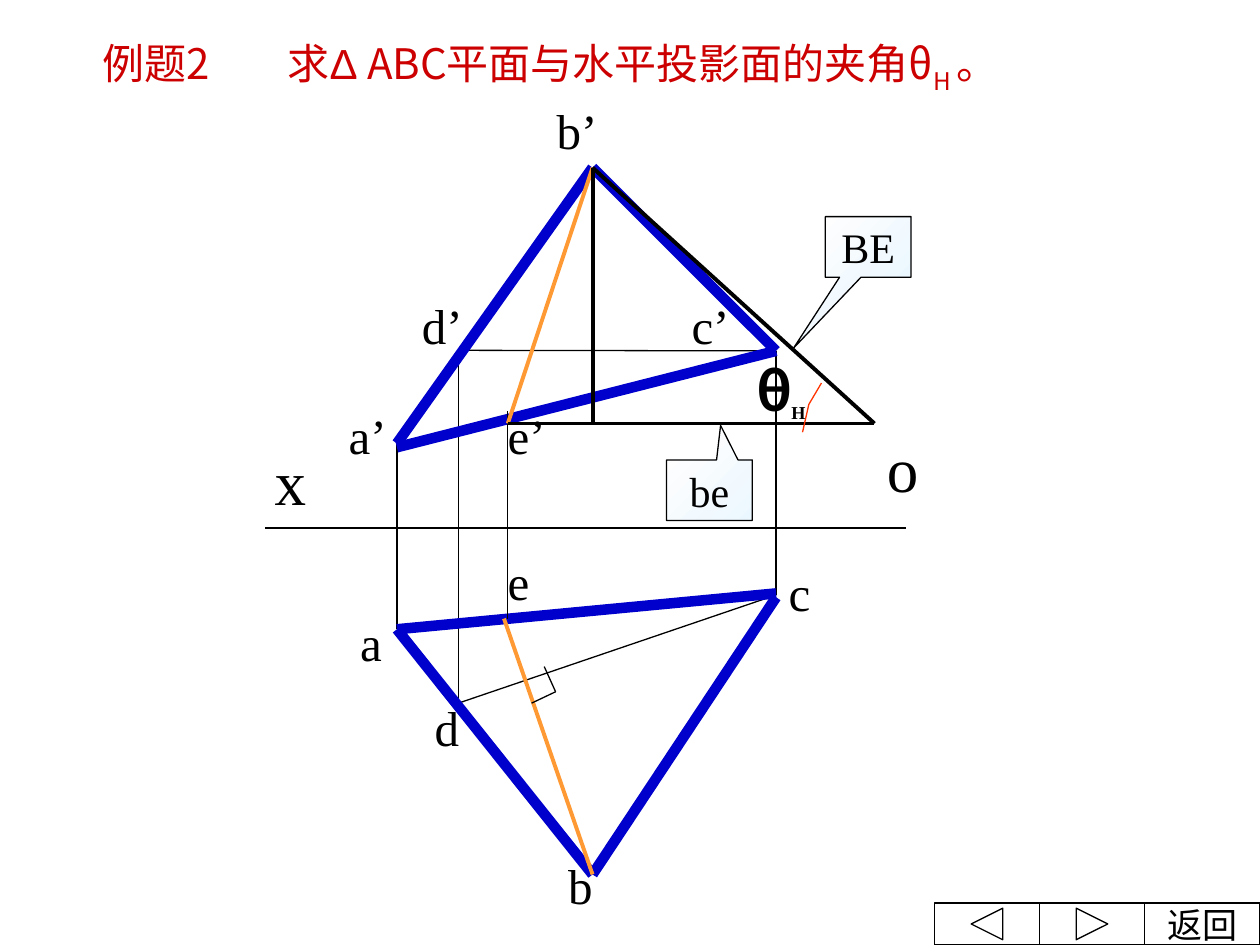
from lxml import etree
from pptx import Presentation
from pptx.dml.color import RGBColor
from pptx.enum.shapes import MSO_CONNECTOR, MSO_SHAPE as Shape
from pptx.enum.text import MSO_ANCHOR as Anchor, PP_ALIGN as Align
from pptx.oxml.ns import qn
from pptx.util import Pt

BLACK = RGBColor(0x00, 0x00, 0x00)
BLUE = RGBColor(0x00, 0x00, 0xCC)
ORANGE = RGBColor(0xFF, 0x99, 0x33)
RED = RGBColor(0xCC, 0x00, 0x00)
ARC_RED = RGBColor(0xFF, 0x33, 0x00)
PALE_BLUE = RGBColor(0xEB, 0xF7, 0xFF)
NEAR_WHITE = RGBColor(0xFE, 0xFE, 0xFE)

SERIF = "Times New Roman"
HAN = "Noto Sans CJK JP"
THIN, MEDIUM, THICK = 0.75, 2.25, 6


class Drawing:
    def __init__(self, slide):
        self.shapes = slide.shapes

    def style(self, font, size, color=BLACK, name=SERIF):
        font.size, font.name = Pt(size), name
        font.color.rgb = color

    def outline(self, shape, color=BLACK):
        shape.shadow.inherit = False
        shape.line.color.rgb, shape.line.width = color, Pt(THIN)

    def line(self, start, end, width=THIN, color=BLACK):
        segment = self.shapes.add_connector(
            MSO_CONNECTOR.STRAIGHT, *map(Pt, (*start, *end)))
        segment.line.color.rgb, segment.line.width = color, Pt(width)
        etree.SubElement(segment._element.spPr, qn("a:effectLst"))

    def text(self, left, top, width, height, words="", size=28):
        frame = self.shapes.add_textbox(*map(Pt, (left, top, width, height))).text_frame
        frame.word_wrap = True
        paragraph = frame.paragraphs[0]
        paragraph.text = words
        self.style(paragraph.font, size)
        return paragraph

    def run(self, paragraph, words, size, color=BLACK, name=SERIF, subscript=False):
        run = paragraph.add_run()
        run.text = words
        self.style(run.font, size, color, name)
        if name == HAN:
            etree.SubElement(run.font._element, qn("a:ea"), typeface=HAN)
        if subscript:
            run.font._element.set("baseline", "-25000")

    def caption(self, shape, words, size):
        frame = shape.text_frame
        frame.word_wrap, frame.vertical_anchor = False, Anchor.MIDDLE
        paragraph = frame.paragraphs[0]
        paragraph.text, paragraph.alignment = words, Align.CENTER
        self.style(paragraph.font, size)

    def callout(self, left, top, words, pointer):
        box = self.shapes.add_shape(
            Shape.RECTANGULAR_CALLOUT, *map(Pt, (left, top, 49, 34.6)))
        self.outline(box)
        box.adjustments[0], box.adjustments[1] = pointer
        box.fill.gradient()
        box.fill.gradient_angle = 135
        for stop, color in zip(box.fill.gradient_stops, (PALE_BLUE, NEAR_WHITE)):
            stop.color.rgb = color
        self.caption(box, words, 24)

    def arc(self, start, *others):
        builder = self.shapes.build_freeform(*map(Pt, start))
        builder.add_line_segments([tuple(map(Pt, point)) for point in others], close=False)
        curve = builder.convert_to_shape()
        curve.fill.background()
        self.outline(curve, ARC_RED)

    def button(self, kind, left, width):
        key = self.shapes.add_shape(kind, *map(Pt, (left, 516, width, 24)))
        key.fill.background()
        self.outline(key)
        return key


def main():
    deck = Presentation()
    deck.slide_width, deck.slide_height = Pt(720), Pt(540)
    drawing = Drawing(deck.slides.add_slide(deck.slide_layouts[6]))

    # Title
    title = drawing.text(51.8, 18, 556, 38)
    properties = title._p.get_or_add_pPr()
    tabs = etree.Element(qn("a:tabLst"))
    properties.insert(0, tabs)
    etree.SubElement(tabs, qn("a:tab"), pos=str(Pt(105.5)), algn="l")
    for words, name, subscript in (
            ("例题2\t求", HAN, False), ("Δ ", "Arial", False),
            ("ABC平面与水平投影面的夹角θ", HAN, False),
            ("H ", HAN, True), ("。", HAN, False)):
        drawing.run(title, words, 24, RED, name, subscript)

    # Vertices: front view above the axis, top view below it
    a_front, b_front, c_front = (226.8, 253.4), (338.6, 95.8), (443.5, 200.5)
    d_front, e_front = (262, 200.2), (290.2, 242)
    a_top, b_top, c_top = (226.8, 359.6), (338.6, 499.7), (443.5, 340)
    d_top, e_top = (262, 401.8), (288, 353.5)
    far_corner, height_foot = (499.7, 242), (338.6, 242)

    # Axis, projection lines and auxiliary line CD
    drawing.line((517.7, 301.7), (151.2, 301.7))
    for start, end in ((d_top, c_top), (c_front, d_front), (d_front, d_top),
                       (a_front, a_top), (c_front, c_top)):
        drawing.line(start, end)

    # Triangle ABC in both views
    for start, end in ((a_front, b_front), (b_front, c_front), ((226.8, 255.6), c_front),
                       (b_top, (443.5, 341.3)), (a_top, b_top), (a_top, (443.5, 339.1))):
        drawing.line(start, end, THICK, BLUE)
    drawing.line((290.2, 353.5), (290.2, 234.7))

    # Steepest line BE and its right-angle mark
    drawing.line(e_front, b_front, MEDIUM, ORANGE)
    drawing.line(b_top, e_top, MEDIUM, ORANGE)
    drawing.line((311, 380.9), (317.5, 395.3))
    drawing.line((317.5, 395.3), (303.8, 401.8))

    # True-length triangle
    for start, end in ((e_front, far_corner), (b_front, height_foot), (far_corner, b_front)):
        drawing.line(start, end, MEDIUM)

    # Point labels
    for words, left, top in (
            ("a’", 192.2, 228.2), ("b’", 311, 54), ("c’", 388.1, 165.6),
            ("d’", 234, 165.6), ("e’", 283, 228.2),
            ("a", 198.7, 346.3), ("b", 317.5, 485.3), ("c", 443.5, 318.2),
            ("d", 241.2, 395.3), ("e", 283, 311.8)):
        drawing.text(left, top, 49, 41, words)
    drawing.text(149.8, 249.1, 25.2, 50.4, "x", 36)
    drawing.text(499.7, 241.9, 58.3, 50.4, "o", 36)

    # Angle with the horizontal plane
    drawing.arc((469.4, 218.9), (462.2, 231.1), (458.6, 247))
    angle = drawing.text(425.5, 195.8, 66.2, 50.4)
    angle.font.bold = True
    drawing.run(angle, "θ", 36, name="Calibri")
    drawing.run(angle, "H", 18, subscript=True)
    for run in angle.runs:
        run.font.bold = True

    # Callouts
    drawing.callout(380.9, 262.8, "be", (0.13, -1.07))
    drawing.callout(471.6, 123.8, "BE", (-0.87, 1.67))

    # Navigation buttons
    back = drawing.button(Shape.ACTION_BUTTON_CUSTOM, 654, 66)
    drawing.caption(back, "返回", 20)
    drawing.button(Shape.ACTION_BUTTON_BACK_OR_PREVIOUS, 534, 60)
    drawing.button(Shape.ACTION_BUTTON_FORWARD_OR_NEXT, 594, 60)

    deck.save("out.pptx")


if __name__ == "__main__":
    main()
